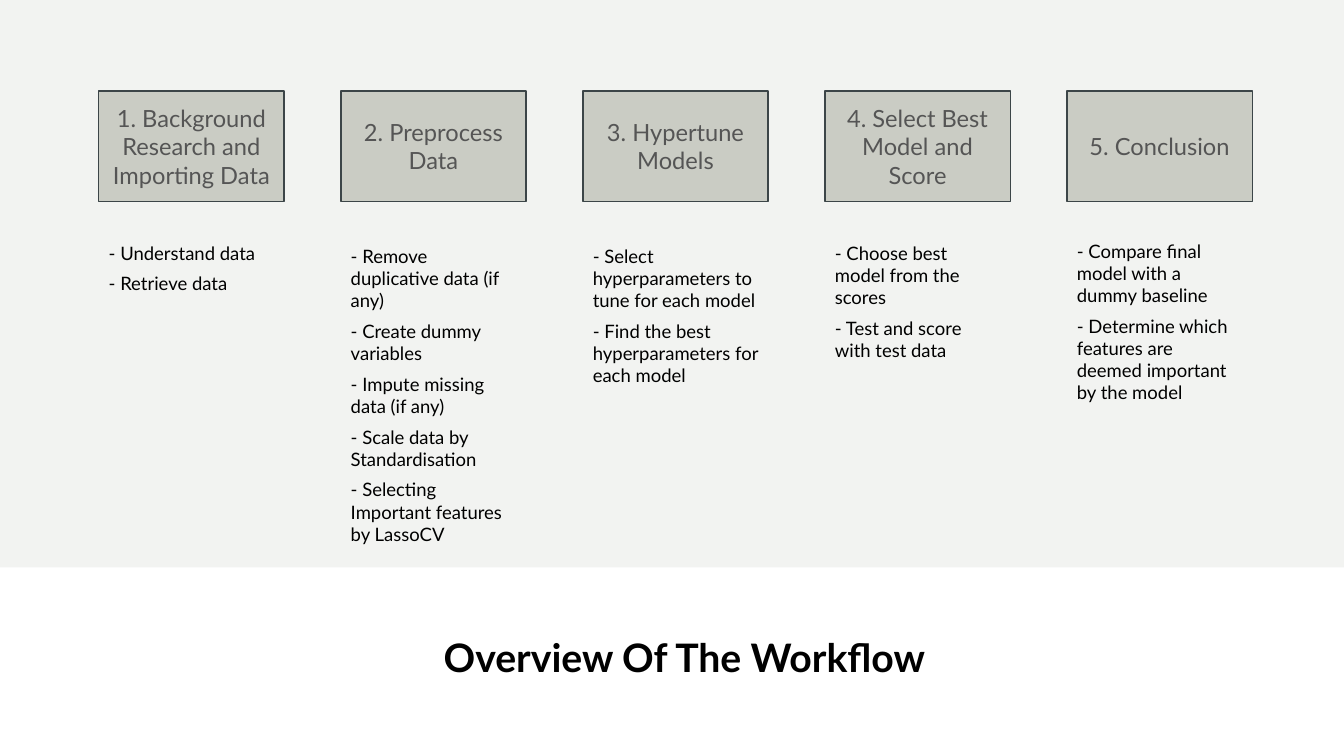
from pptx import Presentation
from pptx.dml.color import RGBColor
from pptx.enum.shapes import MSO_SHAPE
from pptx.enum.text import MSO_ANCHOR, MSO_AUTO_SIZE, PP_ALIGN
from pptx.util import Cm, Pt

WHITE = RGBColor(0xFF, 0xFF, 0xFF)
BLACK = RGBColor(0x00, 0x00, 0x00)
PANEL = RGBColor(0xF2, 0xF3, 0xF1)
STEP_FILL = RGBColor(0xCA, 0xCC, 0xC4)
STEP_LINE = RGBColor(0x3C, 0x45, 0x48)
STEP_TEXT = RGBColor(0x55, 0x55, 0x55)

FONT = "Lato"
FIRST_LEFT = 2.49
PITCH = 6.1
STEP_WIDTH = 4.67

STEPS = [
    ("1. Background Research and Importing Data", 5.97, 1.6,
     ["- Understand data", "- Retrieve data"]),
    ("2. Preprocess Data", 6.05, 7.85,
     ["- Remove duplicative data (if any)", "- Create dummy variables",
      "- Impute missing data (if any)", "- Scale data by Standardisation",
      "- Selecting Important features by LassoCV"]),
    ("3. Hypertune Models", 6.05, 4.42,
     ["- Select hyperparameters to tune for each model",
      "- Find the best hyperparameters for each model"]),
    ("4. Select Best Model and Score", 5.97, 3.28,
     ["- Choose best model from the scores",
      "- Test and score with test data"]),
    ("5. Conclusion", 5.92, 4.42,
     ["- Compare final model with a dummy baseline",
      "- Determine which features are deemed important by the model"]),
]


def write_paragraphs(frame, lines, size, color, alignment, bold=False, space_after=6):
    """Fill a text frame with one styled paragraph per line."""
    frame.word_wrap = True
    for index, line in enumerate(lines):
        paragraph = frame.add_paragraph() if index else frame.paragraphs[0]
        paragraph.alignment = alignment
        paragraph.space_after = Pt(space_after)
        run = paragraph.add_run()
        run.text = line
        run.font.name = FONT
        run.font.size = Pt(size)
        run.font.bold = bold
        run.font.color.rgb = color


def add_rectangle(slide, left, top, width, height, fill):
    """Add a flat filled rectangle without an outline."""
    shape = slide.shapes.add_shape(
        MSO_SHAPE.RECTANGLE, Cm(left), Cm(top), Cm(width), Cm(height))
    shape.shadow.inherit = False
    shape.fill.solid()
    shape.fill.fore_color.rgb = fill
    shape.line.fill.background()
    return shape


def add_step(slide, left, label):
    """Add the outlined box that names a workflow step."""
    step = add_rectangle(slide, left, 2.29, STEP_WIDTH, 2.79, STEP_FILL)
    step.line.color.rgb = STEP_LINE
    step.line.width = Pt(1)
    step.text_frame.vertical_anchor = MSO_ANCHOR.MIDDLE
    write_paragraphs(step.text_frame, [label], 16.9, STEP_TEXT, PP_ALIGN.CENTER)


def add_tasks(slide, left, top, height, tasks):
    """Add the list of tasks below a workflow step."""
    box = slide.shapes.add_textbox(Cm(left), Cm(top), Cm(STEP_WIDTH), Cm(height))
    write_paragraphs(box.text_frame, tasks, 13.2, BLACK, PP_ALIGN.LEFT)
    box.text_frame.auto_size = MSO_AUTO_SIZE.SHAPE_TO_FIT_TEXT


def add_title(slide, text):
    """Add the centred slide title below the panel."""
    title = slide.shapes.add_textbox(Cm(3.3), Cm(15.16), Cm(27.89), Cm(2.69))
    title.text_frame.vertical_anchor = MSO_ANCHOR.MIDDLE
    write_paragraphs(title.text_frame, [text], 28, BLACK, PP_ALIGN.CENTER,
                     bold=True, space_after=0)
    title.text_frame.paragraphs[0].line_spacing = 1.1


def main():
    """Build the workflow slide and save it."""
    presentation = Presentation()
    presentation.slide_width = Cm(33.87)
    presentation.slide_height = Cm(19.05)
    slide = presentation.slides.add_slide(presentation.slide_layouts[6])
    slide.background.fill.solid()
    slide.background.fill.fore_color.rgb = WHITE

    add_title(slide, "Overview Of The Workflow")
    add_rectangle(slide, 0, 0, 33.87, 14.3, PANEL)
    for index, (label, top, height, tasks) in enumerate(STEPS):
        left = FIRST_LEFT + index * PITCH
        add_step(slide, left, label)
        add_tasks(slide, left, top, height, tasks)
    presentation.save("out.pptx")


if __name__ == "__main__":
    main()
